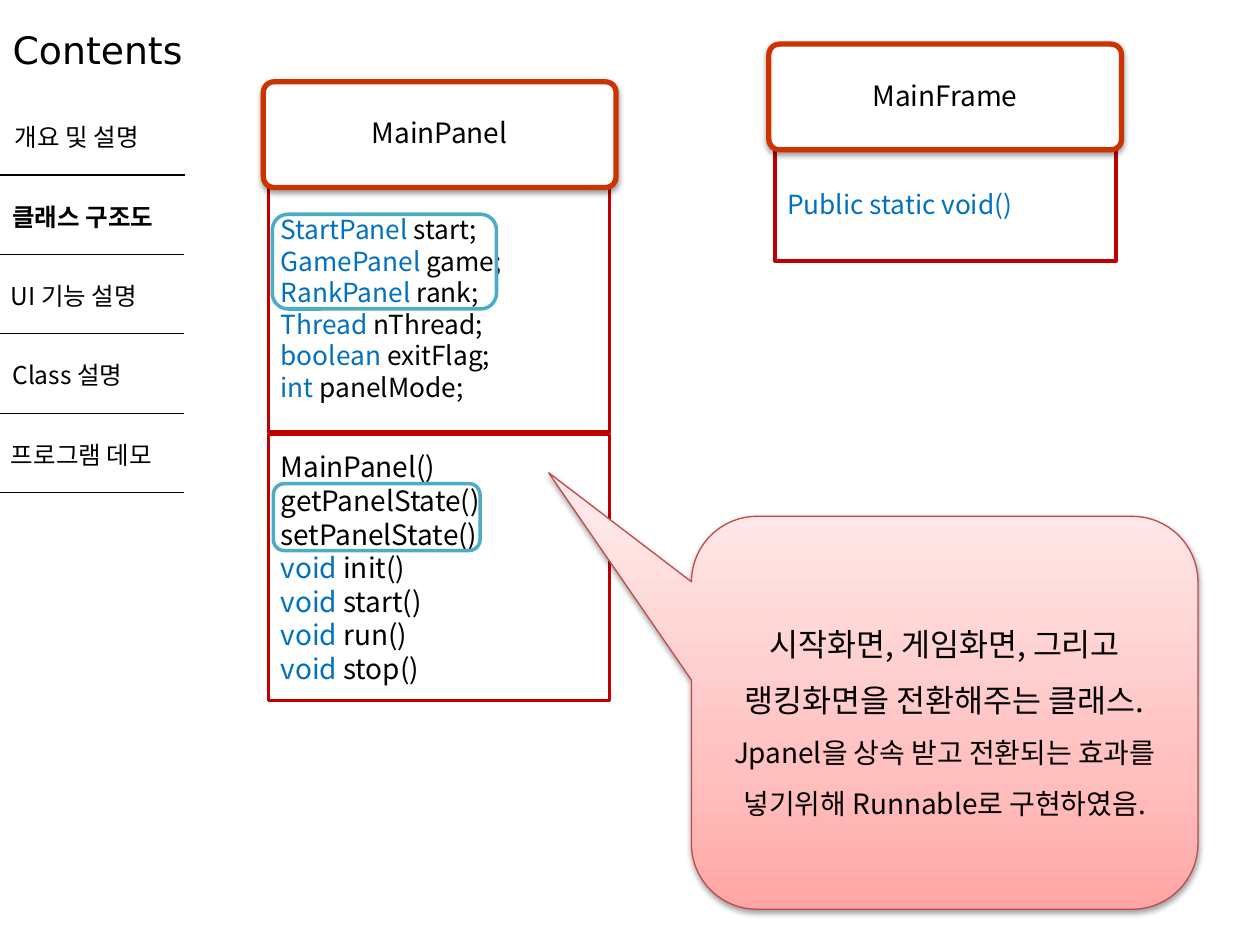
"""Builds the class structure slide with its contents menu and class diagrams."""
from copy import deepcopy
from dataclasses import dataclass

import pptx
import pptx.dml.color
import pptx.enum.shapes
import pptx.enum.text
import pptx.oxml
import pptx.oxml.ns
import pptx.util
from lxml import etree

Cm, Pt = pptx.util.Cm, pptx.util.Pt
Shape = pptx.enum.shapes.MSO_SHAPE
Align = pptx.enum.text.PP_ALIGN
qn = pptx.oxml.ns.qn


@dataclass(frozen=True)
class Theme:
    """Colours, fonts and type sizes of the slide."""
    black: str = "000000"
    white: str = "FFFFFF"
    keyword: str = "0070C0"
    body_line: str = "C00000"
    header_line: str = "CC3300"
    highlight: str = "4BACC6"
    callout_line: str = "BF4C48"
    callout_stops: tuple = ((0, "FFA6A5"), (0.35, "FFC0BF"), (1, "FFE7E7"))
    title_font: str = "DejaVu Sans"
    font: str = "Noto Sans CJK KR"
    title: float = 21.6
    menu: int = 14
    field: int = 15
    method: int = 16
    callout: int = 18


THEME = Theme()


def rgb(value):
    """Return a colour object for a hex string."""
    return pptx.dml.color.RGBColor.from_string(value)


def lengths(box):
    """Convert a tuple of centimetres to lengths."""
    return [Cm(value) for value in box]


def add_run(paragraph, text, size, color=THEME.black, bold=None, name=THEME.font):
    """Add one formatted run to a paragraph."""
    run = paragraph.add_run()
    run.text = text
    run.font.size, run.font.bold, run.font.name = Pt(size), bold, name
    run.font.color.rgb = rgb(color)
    etree.SubElement(run.font._element, qn("a:ea")).set("typeface", name)


def write_lines(frame, lines, size, align=Align.LEFT):
    """Write lines, each a list of (text, colour) pairs, into a text frame."""
    frame.word_wrap = True
    frame.vertical_anchor = pptx.enum.text.MSO_ANCHOR.MIDDLE
    for index, line in enumerate(lines):
        paragraph = frame.add_paragraph() if index else frame.paragraphs[0]
        paragraph.alignment = align
        for text, color in line:
            add_run(paragraph, text, size, color)


def add_outline(shapes, kind, box, color, width, fill=None):
    """Add a preset shape with a coloured outline and an optional fill."""
    shape = shapes.add_shape(kind, *lengths(box))
    shape.shadow.inherit = False
    if fill:
        shape.fill.solid()
        shape.fill.fore_color.rgb = rgb(fill)
    else:
        shape.fill.background()
    shape.line.color.rgb = rgb(color)
    shape.line.width = Pt(width)
    return shape


def add_shadow(shape):
    """Give a shape a soft shadow that falls downwards."""
    effects = shape._element.spPr.find(qn("a:effectLst"))
    shadow = etree.SubElement(effects, qn("a:outerShdw"), blurRad="40000",
                              dist="20000", dir="5400000", rotWithShape="0")
    color = etree.SubElement(shadow, qn("a:srgbClr"), val=THEME.black)
    etree.SubElement(color, qn("a:alpha"), val="38000")


def add_title(slide, text):
    """Place and format the title placeholder."""
    title = slide.shapes.title
    title.left, title.top, title.width, title.height = lengths((0, 0.13, 4.14, 1.73))
    frame = title.text_frame
    frame.auto_size = pptx.enum.text.MSO_AUTO_SIZE.NONE
    frame.vertical_anchor = pptx.enum.text.MSO_ANCHOR.MIDDLE
    frame.paragraphs[0].alignment = Align.LEFT
    add_run(frame.paragraphs[0], text, THEME.title, name=THEME.title_font)


def add_menu_item(slide, index, text, left, rule_left, bold=None):
    """Add one menu entry and the rule below it."""
    top = 2.34 + 1.6 * index
    box = slide.shapes.add_textbox(*lengths((left, top, 3.76, 0.86)))
    box.text_frame.word_wrap = True
    add_run(box.text_frame.paragraphs[0], text, THEME.menu, bold=bold)
    rule_top = top + 1.19
    rule = slide.shapes.add_connector(
        pptx.enum.shapes.MSO_CONNECTOR.STRAIGHT,
        *lengths((rule_left, rule_top, rule_left + 3.73, rule_top)))
    rule.line.color.rgb = rgb(THEME.black)
    rule.line.width = Pt(0.75)
    etree.SubElement(rule._element.spPr, qn("a:effectLst"))


def add_compartment(slide, box, lines, size):
    """Add a class compartment with its members."""
    shape = add_outline(slide.shapes, Shape.RECTANGLE, box, THEME.body_line, 2)
    write_lines(shape.text_frame, lines, size)


def add_class_header(slide, left, top, name):
    """Add a grouped class header: a rounded frame and its name."""
    shapes = slide.shapes.add_group_shape().shapes
    header = add_outline(shapes, Shape.ROUNDED_RECTANGLE, (left, top, 7.11, 2.13),
                         THEME.header_line, 3, THEME.white)
    header.adjustments[0] = 0.1
    add_shadow(header)
    label = shapes.add_textbox(*lengths((left + 0.11, top + 0.06, 6.88, 2.01)))
    frame = label.text_frame
    frame.margin_left = frame.margin_right = Cm(0.18)
    frame.margin_top = frame.margin_bottom = Cm(0.18)
    write_lines(frame, [[(name, THEME.black)]], THEME.method, Align.CENTER)
    frame.paragraphs[0].line_spacing = 0.9
    frame.paragraphs[0].space_after = Pt(5.6)


def add_highlight(slide, box):
    """Add a rounded outline around related members."""
    add_outline(slide.shapes, Shape.ROUNDED_RECTANGLE, box, THEME.highlight, 2)


def add_callout(slide, box, paragraphs):
    """Add the gradient callout with (text, size) paragraphs."""
    shape = add_outline(slide.shapes, Shape.ROUNDED_RECTANGULAR_CALLOUT, box,
                        THEME.callout_line, 0.75)
    for index, value in enumerate((-0.782, -0.611, 0.167)):
        shape.adjustments[index] = value
    shape.fill.gradient()
    shape.fill.gradient_angle = 90
    stop_list = shape._element.spPr.find(qn("a:gradFill")).find(qn("a:gsLst"))
    stop_list.insert(1, deepcopy(stop_list[0]))
    for stop, (position, color) in zip(shape.fill.gradient_stops, THEME.callout_stops):
        stop.position = position
        stop.color.rgb = rgb(color)
    add_shadow(shape)
    frame = shape.text_frame
    frame.word_wrap = True
    frame.vertical_anchor = pptx.enum.text.MSO_ANCHOR.MIDDLE
    for index, (text, size) in enumerate(paragraphs):
        paragraph = frame.add_paragraph() if index else frame.paragraphs[0]
        paragraph.alignment = Align.CENTER
        paragraph.line_spacing = 1.5
        add_run(paragraph, text, size)


def main():
    """Build and save the slide."""
    presentation = pptx.Presentation()
    presentation.slide_width, presentation.slide_height = Cm(25.4), Cm(19.05)
    slide = presentation.slides.add_slide(presentation.slide_layouts[5])
    add_title(slide, "Contents")

    menu = (("개요 및 설명", 0.05, 0), ("클래스 구조도", 0, -0.03, True),
            ("UI 기능 설명", -0.03, -0.03), ("Class 설명", 0, -0.03),
            ("프로그램 데모", -0.03, -0.03))
    for index, item in enumerate(menu):
        add_menu_item(slide, index, *item)

    fields = (("StartPanel ", "start;"), ("GamePanel ", "game;"),
              ("RankPanel ", "rank;"), ("Thread ", "nThread;"),
              ("boolean ", "exitFlag;"), ("int ", "panelMode;"))
    add_compartment(slide, (5.41, 3.71, 6.88, 5),
                    [[(kind, THEME.keyword), (name, THEME.black)] for kind, name in fields],
                    THEME.field)
    add_class_header(slide, 5.31, 1.65, "MainPanel")
    methods = [[(name, THEME.black)]
               for name in ("MainPanel()", "getPanelState()", "setPanelState()")]
    methods += [[("void ", THEME.keyword), (name, THEME.black)]
                for name in ("init()", "start()", "run()", "stop()")]
    add_compartment(slide, (5.41, 8.76, 6.88, 5.36), methods, THEME.method)

    add_callout(slide, (13.94, 10.41, 10.21, 7.92), (
        ("시작화면, 게임화면, 그리고 랭킹화면을 전환해주는 클래스.", THEME.callout),
        ("Jpanel을 상속 받고 전환되는 효과를 넣기위해 Runnable로 구현하였음.", THEME.method)))
    add_highlight(slide, (5.49, 4.32, 4.52, 1.91))
    add_highlight(slide, (5.51, 9.75, 4.17, 1.35))

    add_compartment(slide, (15.62, 2.95, 6.88, 2.31),
                    [[("Public static void()", THEME.keyword)]], THEME.field)
    add_class_header(slide, 15.5, 0.89, "MainFrame")
    presentation.save("out.pptx")


if __name__ == "__main__":
    main()
